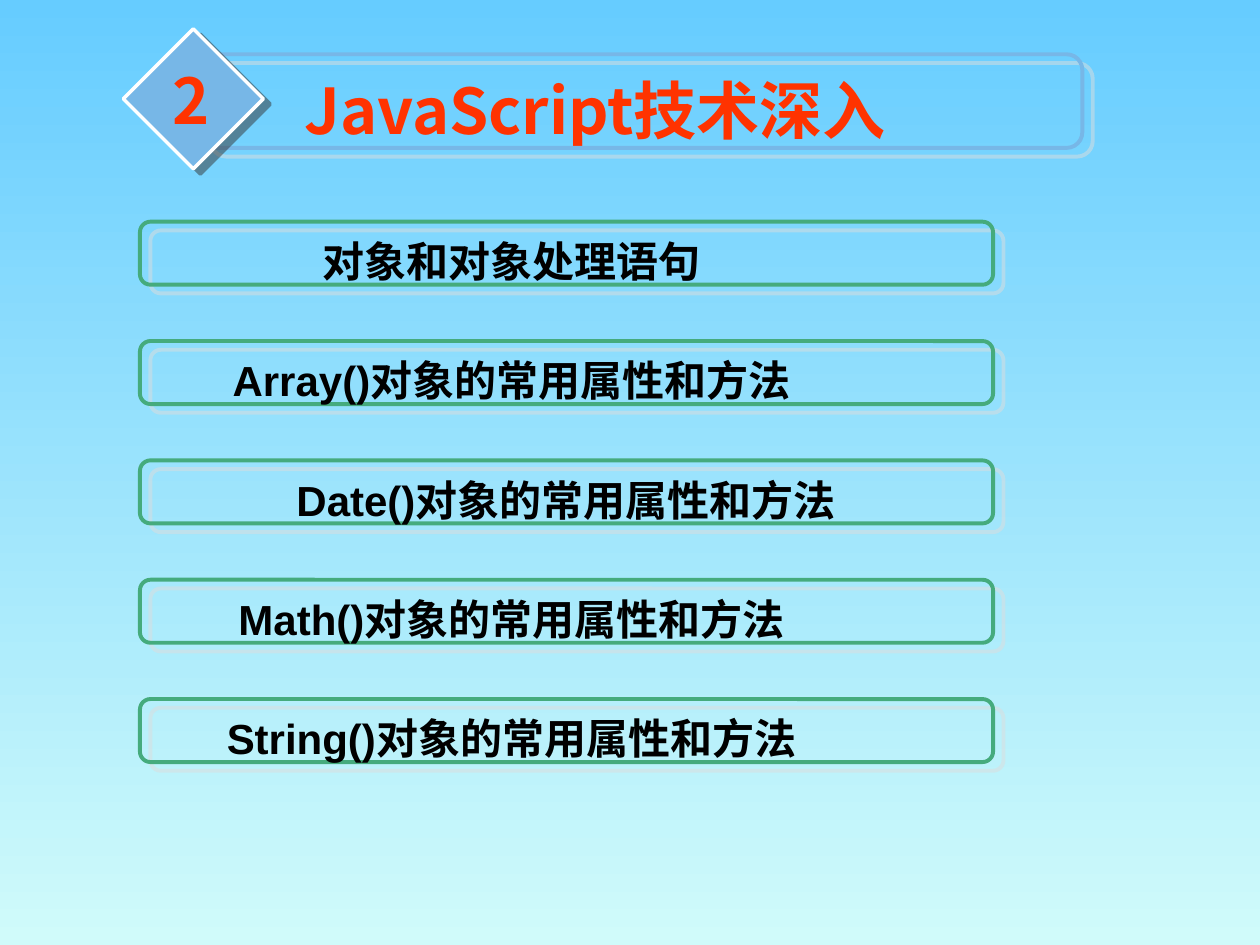
from dataclasses import dataclass

import pptx
import pptx.dml.color
import pptx.enum.shapes
import pptx.enum.text
import pptx.oxml.ns
import pptx.util
from lxml import etree

Pt = pptx.util.Pt
SHAPE = pptx.enum.shapes.MSO_SHAPE
ALIGN = pptx.enum.text.PP_ALIGN
qn = pptx.oxml.ns.qn


@dataclass(frozen=True)
class Theme:
    sky_top: str = "66CCFF"
    sky_bottom: str = "D0FBFA"
    blue: str = "77B7E7"
    green: str = "45AB7D"
    white: str = "FFFFFF"
    heading: str = "FF3300"
    body: str = "000000"
    pale_shadow: str = "DDDDDD"
    dark_shadow: str = "333333"
    heading_size: float = 36
    body_size: float = 24
    latin_font: str = "Arial"
    cjk_font: str = "Noto Sans CJK SC"


THEME = Theme()

ITEMS = [
    ("对象和对象处理语句", ALIGN.CENTER),
    ("Array()对象的常用属性和方法", ALIGN.CENTER),
    ("Date()对象的常用属性和方法", ALIGN.RIGHT),
    ("Math()对象的常用属性和方法", ALIGN.CENTER),
    ("String()对象的常用属性和方法", ALIGN.CENTER),
]


def rgb(value):
    return pptx.dml.color.RGBColor.from_string(value)


def add_shadow(sp, color, distance, angle):
    """Give the shape a half-transparent, unblurred outer shadow."""
    sp.shadow.inherit = False
    effects = sp._element.spPr.find(qn("a:effectLst"))
    shadow = etree.SubElement(
        effects, qn("a:outerShdw"), blurRad="0", dist=str(int(Pt(distance))),
        dir=str(angle * 60000), algn="ctr", rotWithShape="0")
    tint = etree.SubElement(shadow, qn("a:srgbClr"), val=color)
    etree.SubElement(tint, qn("a:alpha"), val="50000")


def add_box(slide, kind, left, top, width, height, line, line_width,
            shadow, distance, angle, fill=None):
    sp = slide.shapes.add_shape(kind, Pt(left), Pt(top), Pt(width), Pt(height))
    if fill:
        sp.fill.solid()
        sp.fill.fore_color.rgb = rgb(fill)
    else:
        sp.fill.background()
    sp.line.color.rgb = rgb(line)
    sp.line.width = Pt(line_width)
    add_shadow(sp, shadow, distance, angle)


def add_frame(slide, left, top, width, height, line):
    add_box(slide, SHAPE.ROUNDED_RECTANGLE, left, top, width, height, line, 2.25,
            THEME.pale_shadow, 7.8, 40)


def set_text(sp, text, size, color, font, align=ALIGN.CENTER, wrap=True):
    tf = sp.text_frame
    tf.word_wrap = wrap
    tf.auto_size = pptx.enum.text.MSO_AUTO_SIZE.SHAPE_TO_FIT_TEXT
    tf.vertical_anchor = pptx.enum.text.MSO_ANCHOR.TOP
    p = tf.paragraphs[0]
    p.alignment = align
    r = p.add_run()
    r.text = text
    r.font.size = Pt(size)
    r.font.bold = True
    r.font.name = font
    r.font.color.rgb = rgb(color)
    etree.SubElement(r.font._element, qn("a:ea"), typeface=THEME.cjk_font)


def add_background(slide):
    fill = slide.background.fill
    fill.gradient()
    fill.gradient_angle = 270
    for stop, color in zip(fill.gradient_stops, (THEME.sky_top, THEME.sky_bottom)):
        stop.color.rgb = rgb(color)


def add_heading(slide, left, top, number, text):
    add_frame(slide, left + 44, top + 14.5, 504, 53.5, THEME.blue)
    add_box(slide, SHAPE.DIAMOND, left, top, 80, 80, THEME.white, 2,
            THEME.dark_shadow, 5, 37, fill=THEME.blue)
    style = dict(size=THEME.heading_size, color=THEME.heading, font=THEME.cjk_font)
    title = slide.shapes.title
    title.left, title.top = Pt(left + 70.5), Pt(top + 21)
    title.width, title.height = Pt(398), Pt(50.5)
    set_text(title, text, **style)
    label = slide.shapes.add_textbox(Pt(left + 21), Pt(top + 15), Pt(34.5), Pt(50.5))
    set_text(label, number, wrap=False, **style)


def add_item_list(slide, left, top, width, items, height=36, pitch=68.2):
    for i, (text, align) in enumerate(items):
        y = top + i * pitch
        add_frame(slide, left, y, width, height, THEME.green)
        label = slide.shapes.add_textbox(Pt(left + 20), Pt(y + 4.3), Pt(384.5), Pt(height))
        set_text(label, text, THEME.body_size, THEME.body, THEME.latin_font, align)


def main():
    prs = pptx.Presentation()
    prs.slide_width, prs.slide_height = Pt(720), Pt(540)
    slide = prs.slides.add_slide(prs.slide_layouts.get_by_name("Title Only"))
    add_background(slide)
    add_item_list(slide, 80, 126.7, 487.5, ITEMS)
    add_heading(slide, 70.5, 16.5, "2", "JavaScript技术深入")
    prs.save("out.pptx")


if __name__ == "__main__":
    main()
